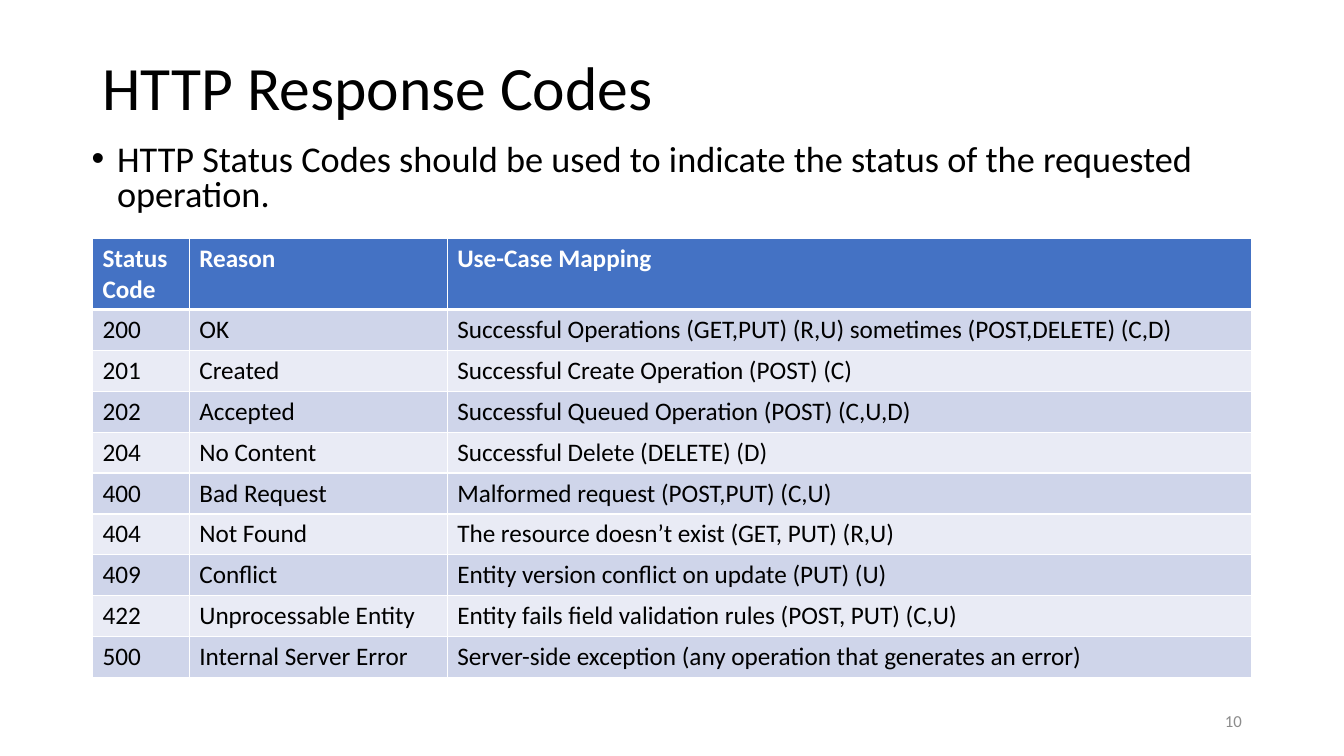
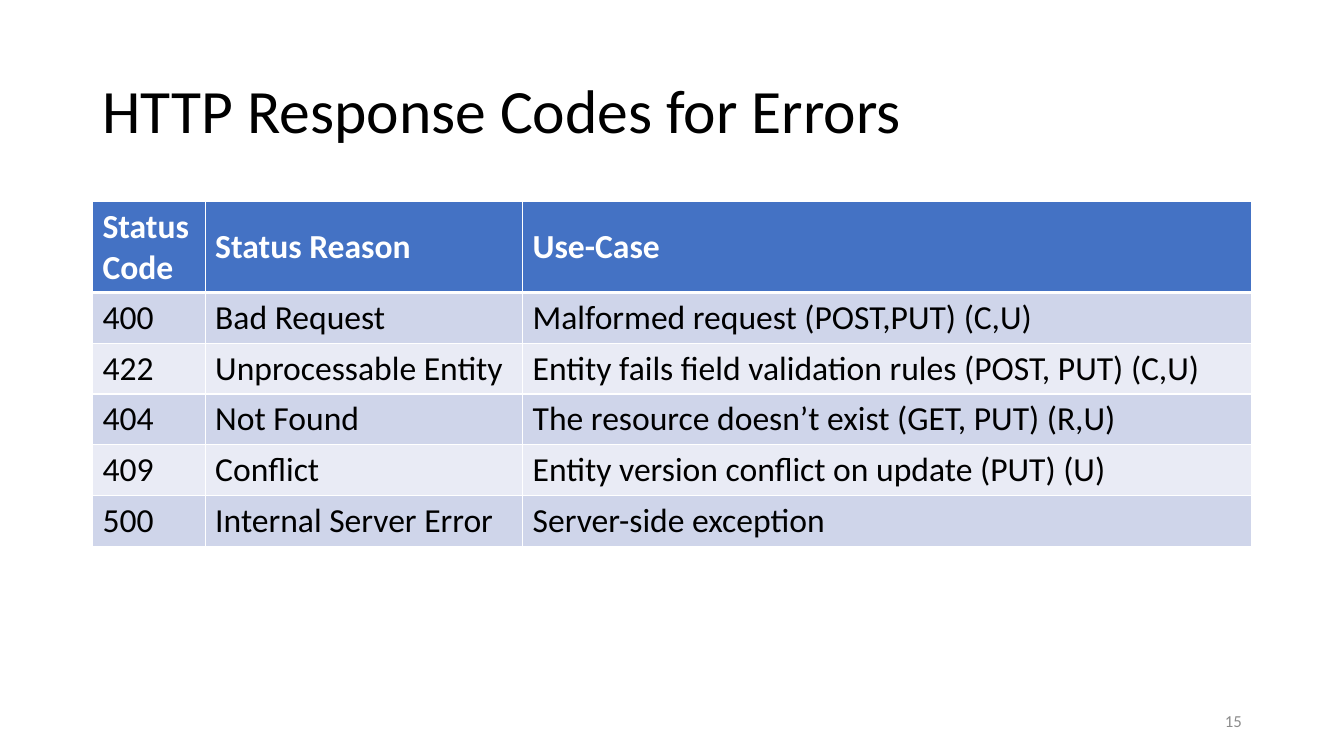
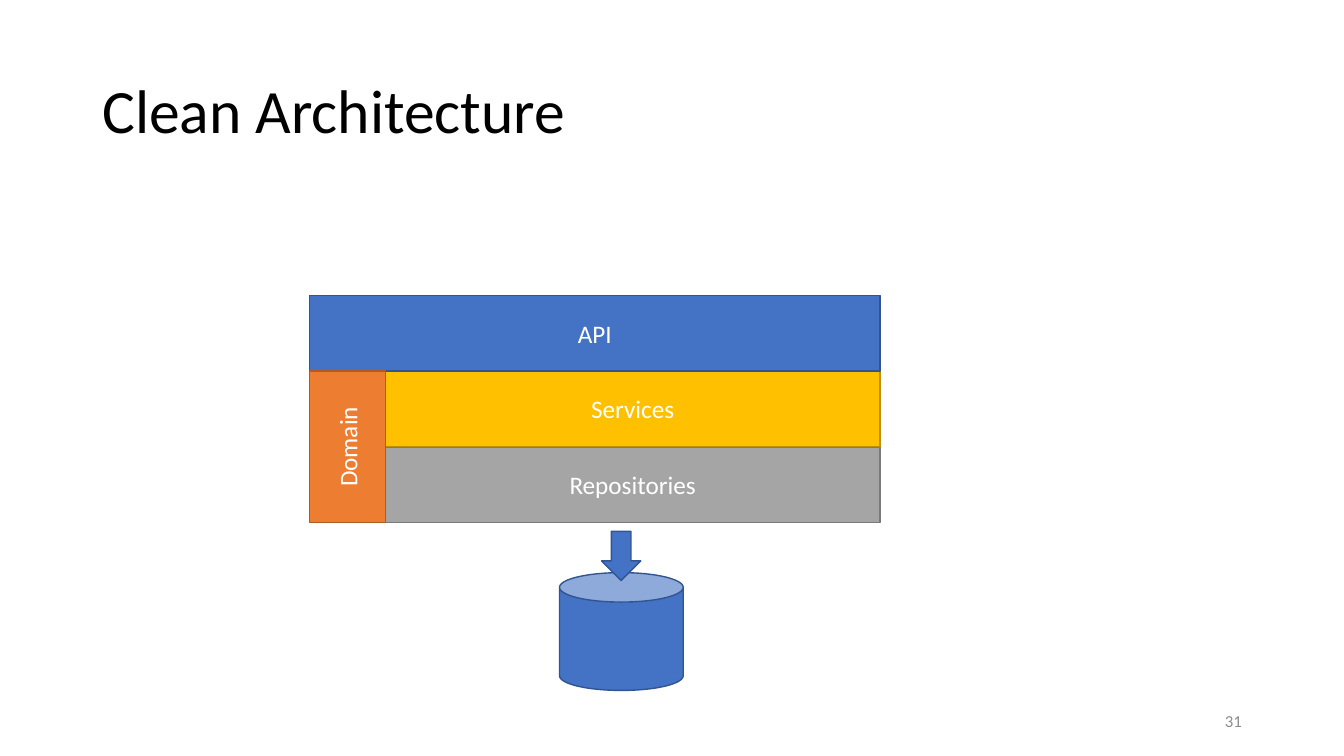
from pptx import Presentation
from pptx.dml.color import RGBColor
from pptx.enum.shapes import MSO_SHAPE
from pptx.enum.text import MSO_ANCHOR, PP_ALIGN
from pptx.oxml import parse_xml
from pptx.oxml.ns import nsdecls
from pptx.util import Cm, Pt

COLORS = {
    "black": "000000", "white": "FFFFFF", "muted": "8C8C8C",
    "blue": "4472C4", "navy": "325491",
    "orange": "ED7D31", "rust": "AF5C24",
    "gold": "FFC000", "ochre": "BD8E00",
    "gray": "A5A5A5", "iron": "7A7A7A",
    "band": "CFD5EA", "pale": "E9EBF5",
}


def color(name):
    return RGBColor.from_string(COLORS[name])


class Deck:
    font = "Calibri"
    left, width = 2.33, 29.21

    def __init__(self):
        self.file = Presentation()
        self.file.slide_width = Cm(33.87)
        self.file.slide_height = Cm(19.05)
        self.slide = None

    def page(self, title, number, height=3.68):
        self.slide = self.file.slides.add_slide(self.file.slide_layouts[6])
        head = self.text(title, self.left, 1.02, self.width, height, 44)
        head.line_spacing = 0.9
        foot = self.text(str(number), 23.93, 17.65, 7.62, 1.02, 12, "muted")
        foot.alignment = PP_ALIGN.RIGHT

    def run(self, para, words, size, tint="black", bold=False):
        run = para.add_run()
        run.text = words
        run.font.name = self.font
        run.font.size = Pt(size)
        run.font.bold = bold
        run.font.color.rgb = color(tint)

    def text(self, words, x, y, w, h, size, tint="black", anchor=MSO_ANCHOR.MIDDLE):
        frame = self.slide.shapes.add_textbox(Cm(x), Cm(y), Cm(w), Cm(h)).text_frame
        frame.word_wrap = True
        frame.vertical_anchor = anchor
        para = frame.paragraphs[0]
        self.run(para, words, size, tint)
        return para

    def bullet(self, words, x, y, w, h, size):
        para = self.text(words, x, y, w, h, size, anchor=MSO_ANCHOR.TOP)
        para.line_spacing = 0.8
        para.space_before = Pt(10)
        props = para._p.get_or_add_pPr()
        props.set("marL", str(Cm(0.64)))
        props.set("indent", str(-Cm(0.64)))
        props.append(parse_xml(f'<a:buFont {nsdecls("a")} typeface="Arial"/>'))
        props.append(parse_xml(f'<a:buChar {nsdecls("a")} char="•"/>'))

    def border(self, cell, top, bottom):
        props = cell._tc.get_or_add_tcPr()
        sides = {"L": 1, "R": 1, "T": top, "B": bottom}
        for place, (side, size) in enumerate(sides.items()):
            props.insert(place, parse_xml(
                f'<a:ln{side} {nsdecls("a")} w="{Pt(size)}"><a:solidFill>'
                f'<a:srgbClr val="{COLORS["white"]}"/></a:solidFill></a:ln{side}>'))

    def table(self, rows, y, widths, first, step, size, anchor=MSO_ANCHOR.TOP):
        heights = [first] + [step] * (len(rows) - 1)
        grid = self.slide.shapes.add_table(
            len(rows), len(widths), Cm(self.left), Cm(y),
            Cm(sum(widths)), Cm(sum(heights))).table
        for col, width in zip(grid.columns, widths):
            col.width = Cm(width)
        for r, (row, height) in enumerate(zip(rows, heights)):
            grid.rows[r].height = Cm(height)
            head = r == 0
            fill = "blue" if head else ("pale", "band")[r % 2]
            for c, words in enumerate(row):
                cell = grid.cell(r, c)
                cell.fill.solid()
                cell.fill.fore_color.rgb = color(fill)
                cell.vertical_anchor = anchor if head else MSO_ANCHOR.TOP
                self.run(cell.text_frame.paragraphs[0], words, size,
                         "white" if head else "black", head)
                self.border(cell, 3 if r == 1 else 1, 3 if head else 1)

    def shape(self, kind, x, y, w, h, fill, line, words="", turn=0):
        item = self.slide.shapes.add_shape(kind, Cm(x), Cm(y), Cm(w), Cm(h))
        item.shadow.inherit = False
        item.rotation = turn
        item.fill.solid()
        item.fill.fore_color.rgb = color(fill)
        item.line.color.rgb = color(line)
        item.line.width = Pt(1)
        if words:
            frame = item.text_frame
            frame.vertical_anchor = MSO_ANCHOR.MIDDLE
            para = frame.paragraphs[0]
            para.alignment = PP_ALIGN.CENTER
            self.run(para, words, 18, "white")


BAD = ("400", "Bad Request", "Malformed request (POST,PUT) (C,U)")
LOST = ("404", "Not Found", "The resource doesn’t exist (GET, PUT) (R,U)")
CLASH = ("409", "Conflict", "Entity version conflict on update (PUT) (U)")
RULES = ("422", "Unprocessable Entity",
         "Entity fails field validation rules (POST, PUT) (C,U)")
CRASH = ("500", "Internal Server Error", "Server-side exception")

deck = Deck()

deck.page("HTTP Response Codes", 10, 2.51)
deck.table([
    ("Status Code", "Reason", "Use-Case Mapping"),
    ("200", "OK", "Successful Operations (GET,PUT) (R,U) sometimes (POST,DELETE) (C,D)"),
    ("201", "Created", "Successful Create Operation (POST) (C)"),
    ("202", "Accepted", "Successful Queued Operation (POST) (C,U,D)"),
    ("204", "No Content", "Successful Delete (DELETE) (D)"),
    BAD, LOST, CLASH, RULES,
    CRASH[:2] + (CRASH[2] + " (any operation that generates an error)",),
], 6.02, (2.44, 6.5, 20.27), 1.78, 1.03, 18)
deck.bullet("HTTP Status Codes should be used to indicate the status of the "
            "requested operation.", 2.06, 3.53, deck.width, 2.11, 25.9)

deck.page("HTTP Response Codes for Errors", 15)
deck.table([("Status Code", "Status Reason", "Use-Case"),
            BAD, RULES, LOST, CLASH, CRASH],
           5.08, (2.84, 8, 18.37), 2.28, 1.28, 24, MSO_ANCHOR.MIDDLE)

deck.page("Clean Architecture", 31)
x, y, wide, tall = 7.8, 7.44, 14.38, 1.91
box = MSO_SHAPE.RECTANGLE
layers = [
    ("Repositories", 2, tall, "gray", "iron"),
    ("Services", 1, tall, "gold", "ochre"),
    ("API", 0, 0, "blue", "navy"),
]
for name, level, inset, fill, line in layers:
    deck.shape(box, x + inset, y + level * tall, wide - inset, tall, fill, line, name)
deck.shape(box, x - tall / 2, y + 1.5 * tall, 2 * tall, tall,
           "orange", "rust", "Domain", 270)
deck.shape(MSO_SHAPE.CAN, 14.1, 14.43, 3.12, 2.97, "blue", "navy")
deck.shape(MSO_SHAPE.DOWN_ARROW, 15.16, 13.39, 0.99, 1.24, "blue", "navy")

deck.file.save("out.pptx")
